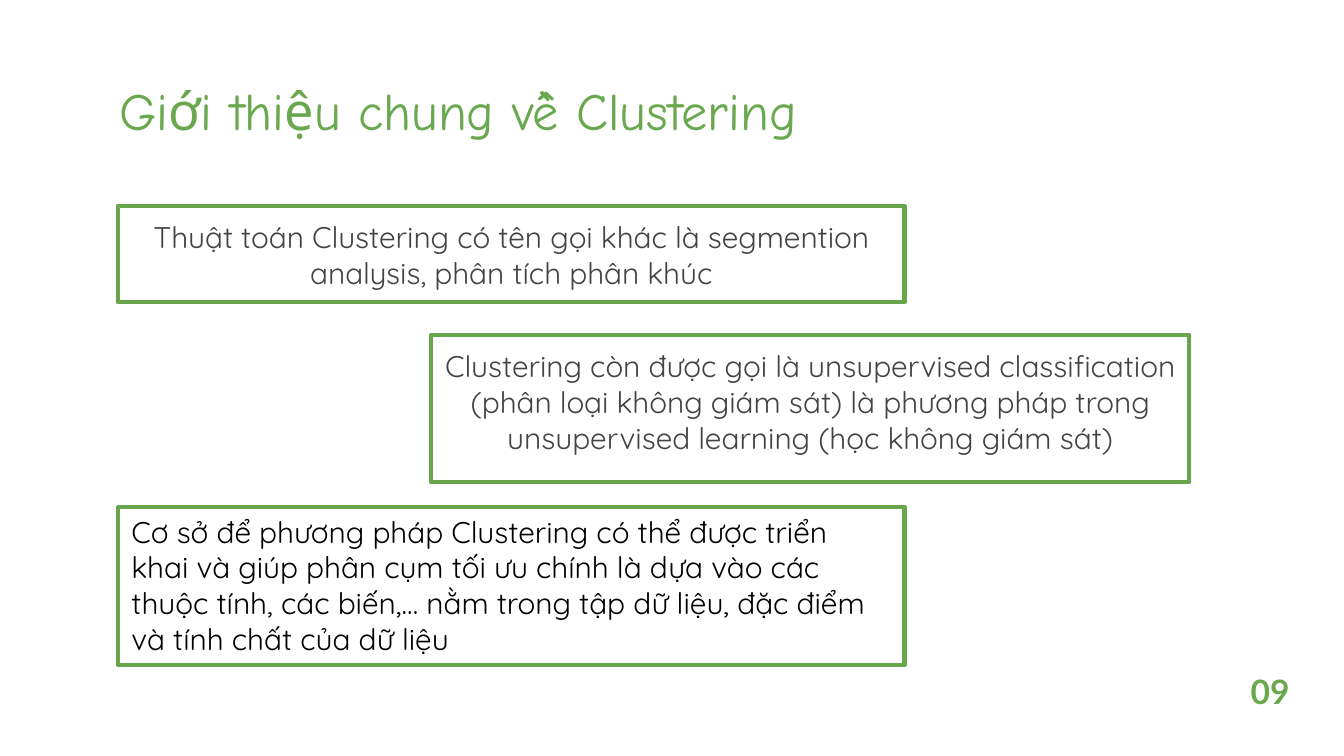
from dataclasses import dataclass

from pptx import Presentation
from pptx.dml.color import RGBColor
from pptx.enum.shapes import MSO_SHAPE
from pptx.enum.text import MSO_ANCHOR, PP_ALIGN
from pptx.util import Inches, Pt

RECTANGLE = MSO_SHAPE.RECTANGLE
TOP = MSO_ANCHOR.TOP
LEFT, CENTER = PP_ALIGN.LEFT, PP_ALIGN.CENTER


@dataclass(frozen=True)
class Theme:
    green: RGBColor = RGBColor(0x6A, 0xA8, 0x4F)
    border: RGBColor = RGBColor(0x67, 0xA6, 0x4B)
    gray: RGBColor = RGBColor(0x43, 0x43, 0x43)
    black: RGBColor = RGBColor(0, 0, 0)
    title_font: str = "Comic Neue"
    body_font: str = "Quicksand"
    number_font: str = "Lato"
    title_size: Pt = Pt(28)
    body_size: Pt = Pt(16)
    number_size: Pt = Pt(18)
    border_width: Pt = Pt(2.25)


THEME = Theme()
SLIDE_WIDTH = Inches(10)
SLIDE_HEIGHT = SLIDE_WIDTH * 9 // 16
COLUMN_LEFT, COLUMN_WIDTH = 0.88, 5.85

# left, top, width, height; wording; alignment; colour; vertical and right insets
STATEMENTS = [
    ((COLUMN_LEFT, 1.53, COLUMN_WIDTH, 0.72),
     "Thuật toán Clustering có tên gọi khác là segmention analysis, "
     "phân tích phân khúc",
     CENTER, THEME.gray, 0.1, 0.1),
    ((3.21, 2.49, 5.64, 1.1),
     "Clustering còn được gọi là unsupervised classification "
     "(phân loại không giám sát) là phương pháp trong "
     "unsupervised learning (học không giám sát)",
     CENTER, THEME.gray, 0.1, 0.1),
    ((COLUMN_LEFT, 3.77, COLUMN_WIDTH, 1.18),
     "Cơ sở để phương pháp Clustering có thể được triển khai và giúp "
     "phân cụm tối ưu chính là dựa vào các thuộc tính, các biến,… "
     "nằm trong tập dữ liệu, đặc điểm và tính chất của dữ liệu",
     LEFT, THEME.black, 0.05, 0.2),
]


def set_attributes(target, values):
    for name, value in values.items():
        setattr(target, name, value)


def write_text(frame, wording, font, color, align=LEFT, inset_y=0.1, inset_right=0.1):
    set_attributes(frame, {
        "word_wrap": True,
        "vertical_anchor": TOP,
        "margin_left": Inches(0.1),
        "margin_right": Inches(inset_right),
        "margin_top": Inches(inset_y),
        "margin_bottom": Inches(inset_y),
    })
    paragraph = frame.paragraphs[0]
    paragraph.alignment = align
    run = paragraph.add_run()
    run.text = wording
    set_attributes(run.font, font)
    run.font.color.rgb = color


def add_label(slide, bounds, wording, font, **layout):
    label = slide.shapes.add_textbox(*map(Inches, bounds))
    write_text(label.text_frame, wording, font, THEME.green, **layout)


def add_statement(slide, bounds, wording, align, color, inset_y, inset_right):
    statement = slide.shapes.add_shape(RECTANGLE, *map(Inches, bounds))
    statement.shadow.inherit = False
    statement.fill.background()
    statement.line.color.rgb = THEME.border
    statement.line.width = THEME.border_width
    font = {"name": THEME.body_font, "size": THEME.body_size}
    write_text(statement.text_frame, wording, font, color, align, inset_y, inset_right)


def main():
    deck = Presentation()
    deck.slide_width, deck.slide_height = SLIDE_WIDTH, SLIDE_HEIGHT
    slide = deck.slides.add_slide(deck.slide_layouts[6])

    add_label(slide, (0.79, 0.48, 8.46, 0.63), "Giới thiệu chung về Clustering",
              {"name": THEME.title_font, "size": THEME.title_size})
    for statement in STATEMENTS:
        add_statement(slide, *statement)
    add_label(slide, (9.12, 4.94, 0.66, 0.4), "09",
              {"name": THEME.number_font, "size": THEME.number_size, "bold": True},
              align=CENTER, inset_y=0.05)

    deck.save("out.pptx")


if __name__ == "__main__":
    main()
